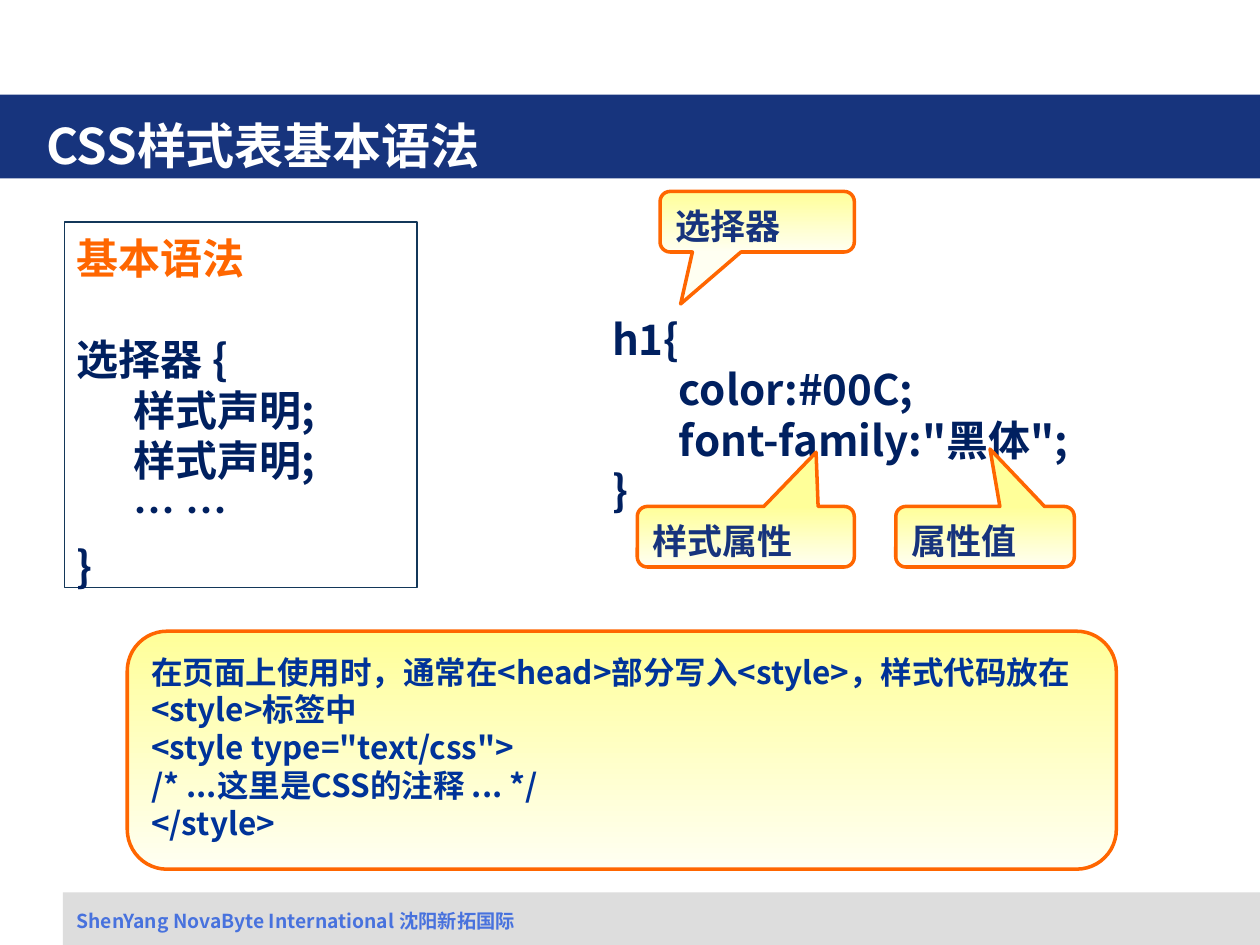
from pptx import Presentation
from pptx.dml.color import RGBColor
from pptx.enum.shapes import MSO_SHAPE
from pptx.enum.text import MSO_ANCHOR, PP_ALIGN
from pptx.oxml.ns import qn
from pptx.util import Pt
from lxml import etree

RECT = MSO_SHAPE.RECTANGLE
CALLOUT = MSO_SHAPE.ROUNDED_RECTANGULAR_CALLOUT
TOP = MSO_ANCHOR.TOP
LEFT = PP_ALIGN.LEFT

FACE = "Noto Sans CJK SC"
WHITE = RGBColor(0xFF, 0xFF, 0xFF)
GRAY = RGBColor(0xDD, 0xDD, 0xDD)
NAVY = RGBColor(0x17, 0x34, 0x7D)
INK = RGBColor(0x00, 0x20, 0x60)
EDGE = RGBColor(0x13, 0x37, 0x59)
BLUE = RGBColor(0x00, 0x33, 0x99)
SKY = RGBColor(0x48, 0x72, 0xDD)
ORANGE = RGBColor(0xFF, 0x66, 0x00)
YELLOW = RGBColor(0xFF, 0xFF, 0x99)
CREAM = RGBColor(0xFF, 0xFF, 0xF2)


def write(shape, lines, size, color):
    """Fill a shape with bold lines at a pitch of 1.2 times the size."""
    frame = shape.text_frame
    frame.word_wrap = True
    frame.vertical_anchor = TOP
    frame.margin_left = frame.margin_right = Pt(7.2)
    frame.margin_top = Pt(round(3.6 + 0.11 * size, 1))
    frame.margin_bottom = Pt(0)
    for i, line in enumerate(lines):
        para = frame.paragraphs[0] if i == 0 else frame.add_paragraph()
        para.text = line
        para.alignment = LEFT
        para.line_spacing = Pt(round(1.2 * size, 1))
        font = para.font
        font.size = Pt(size)
        font.bold = True
        font.color.rgb = color
        font.name = FACE
        props = para._p.pPr.find(qn("a:defRPr"))
        etree.SubElement(props, qn("a:ea")).set("typeface", FACE)
    return frame.paragraphs


def add_text(slide, box, lines, size, color):
    shape = slide.shapes.add_textbox(*map(Pt, box))
    return write(shape, lines, size, color)


def add_shape(slide, kind, box):
    shape = slide.shapes.add_shape(kind, *map(Pt, box))
    shape.shadow.inherit = False
    return shape


def add_bar(slide, box, color):
    bar = add_shape(slide, RECT, box)
    bar.fill.solid()
    bar.fill.fore_color.rgb = color
    bar.line.fill.background()


def add_banner(slide, box, title):
    x, y, w, h = box
    add_bar(slide, box, NAVY)
    add_text(slide, (x + 19.4, y + 5.5, 595, h - 5.5), [title], 28, WHITE)


def add_footer(slide, box, name):
    x, y, w, h = box
    add_bar(slide, box, GRAY)
    add_text(slide, (x + 0.7, y + 5, w - 27, 21), [name], 11, SKY)


def add_syntax(slide, box):
    frame = add_shape(slide, RECT, box)
    frame.fill.background()
    frame.line.color.rgb = EDGE
    frame.line.width = Pt(0.75)
    rule = "      样式声明;"
    lines = ["基本语法", "选择器 {", rule, rule, "      … …", "}"]
    paras = write(frame, lines, 24, INK)
    paras[0].font.color.rgb = ORANGE
    paras[1].space_before = Pt(28.8)
    paras[-1].space_before = Pt(3)


def add_callout(slide, box, tip, lines, size, color):
    """Draw a callout whose tip is offset from its centre in parts of its size."""
    shape = add_shape(slide, CALLOUT, box)
    for i, value in enumerate((*tip, 0.167)):
        shape.adjustments[i] = value
    shape.fill.gradient()
    shape.fill.gradient_angle = 270
    for stop, tone in zip(shape.fill.gradient_stops, (YELLOW, CREAM)):
        stop.color.rgb = tone
    shape.line.color.rgb = ORANGE
    shape.line.width = Pt(2)
    write(shape, lines, size, color)


def add_sample(slide, box):
    """Show the code example with a callout for each of its parts."""
    x, y, w, h = box
    code = ["h1{", "       color:#00C;", '       font-family:"黑体";', "}"]
    add_text(slide, (x, y, w, h), code, 24, INK)
    labels = [
        ("选择器", 34.5, -63.4, 111, (-0.394, 1.358)),
        ("样式属性", 21.5, 116.6, 124, (0.324, -1.395)),
        ("属性值", 169.2, 116.6, 102, (0.028, -1.449)),
    ]
    for name, dx, dy, wide, tip in labels:
        spot = (x + dx, y + dy, wide, 34.6)
        add_callout(slide, spot, tip, [name], 20, NAVY)


def add_usage(slide, box):
    lines = [
        "在页面上使用时，通常在<head>部分写入<style>，样式代码放在<style>标签中",
        '<style type="text/css">',
        "/* ...这里是CSS的注释 ... */",
        "</style>",
    ]
    add_callout(slide, box, (-0.138, -0.5), lines, 18, BLUE)


def main():
    deck = Presentation()
    deck.slide_width, deck.slide_height = Pt(720), Pt(540)
    slide = deck.slides.add_slide(deck.slide_layouts[6])
    add_footer(slide, (36, 510, 684, 30), "ShenYang NovaByte International 沈阳新拓国际")
    add_banner(slide, (0, 54, 720, 48), "CSS样式表基本语法")
    add_syntax(slide, (36.7, 126.9, 201.6, 208.8))
    add_sample(slide, (342.7, 172.8, 351.4, 151.2))
    add_usage(slide, (72.7, 360.7, 565.2, 136))
    deck.save("out.pptx")


if __name__ == "__main__":
    main()
